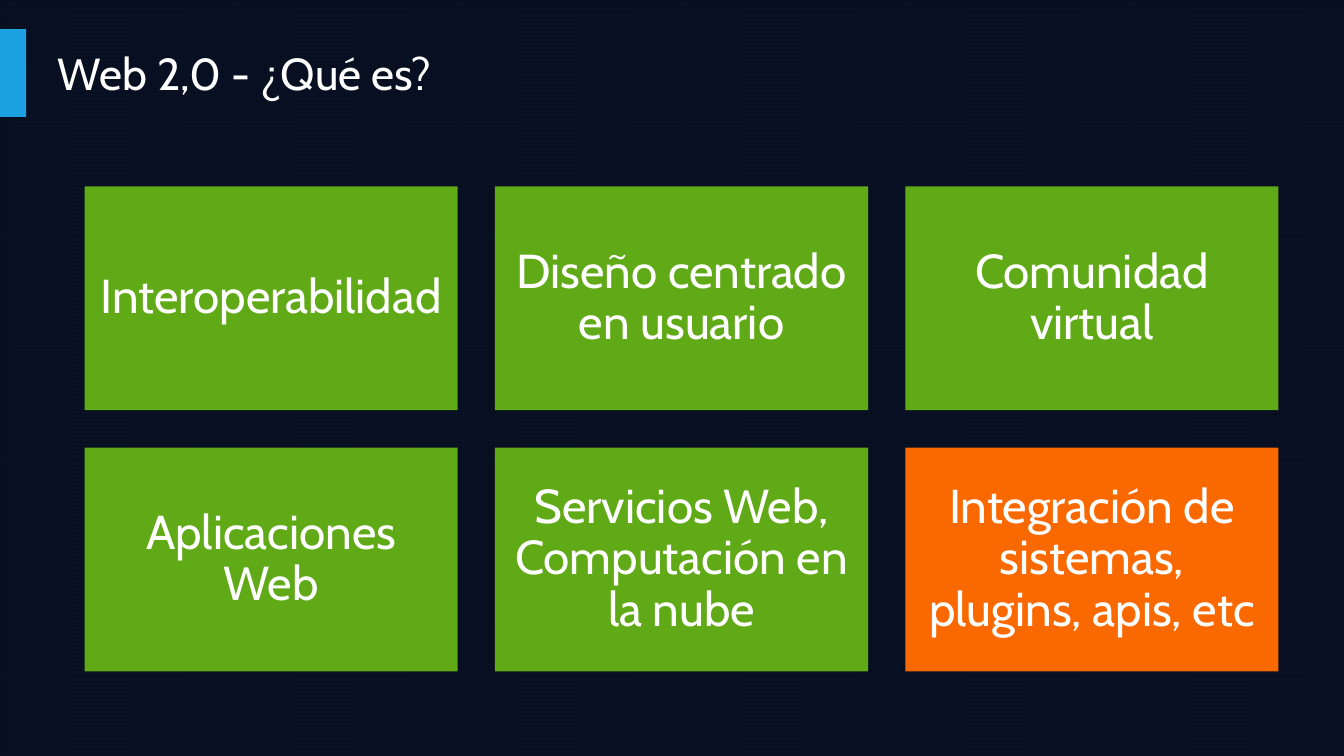
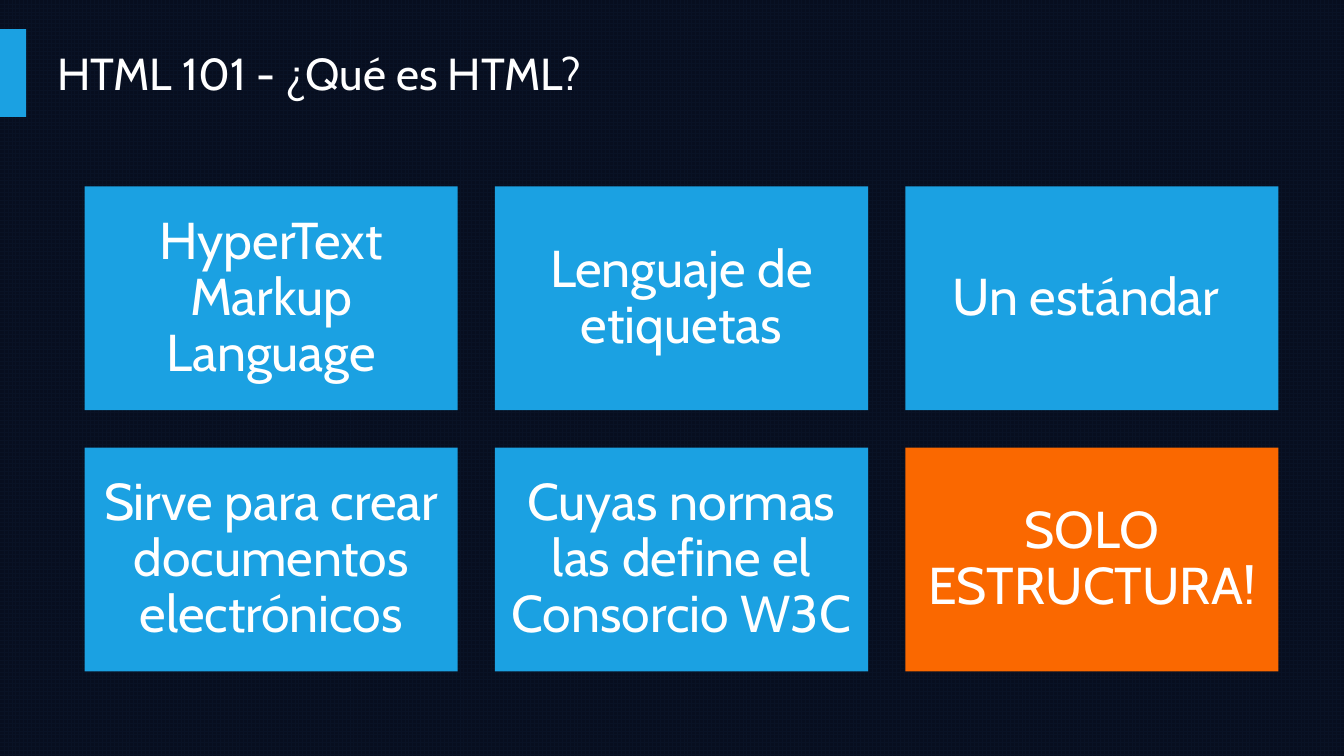
"""Build two tile-grid slides on the Web 2,0 and HTML."""
from dataclasses import dataclass

from pptx import Presentation
from pptx.dml.color import RGBColor
from pptx.enum import dml, shapes, text
from pptx.util import Inches, Pt


@dataclass(frozen=True)
class Theme:
    font: str = "Cabin"
    title_size: int = 32
    white: RGBColor = RGBColor(0xFF, 0xFF, 0xFF)
    blue: RGBColor = RGBColor(0x1B, 0xA1, 0xE2)
    green: RGBColor = RGBColor(0x60, 0xA9, 0x17)
    orange: RGBColor = RGBColor(0xFA, 0x68, 0x00)
    grid_line: RGBColor = RGBColor(0x09, 0x12, 0x25)
    backdrop: RGBColor = RGBColor(0x07, 0x0E, 0x1F)


@dataclass(frozen=True)
class Grid:
    left: float = 0.84
    top: float = 1.85
    width: float = 3.7
    height: float = 2.22
    gap: float = 0.37
    columns: int = 3


@dataclass(frozen=True)
class TileSlide:
    title: str
    color: RGBColor
    size: int
    inset: float
    tiles: tuple[str, ...]


THEME = Theme()
GRID = Grid()
SLIDES = (
    TileSlide("Web 2,0 - ¿Qué es?", THEME.green, 34, 0.14, (
        "Interoperabilidad",
        "Diseño centrado en usuario",
        "Comunidad virtual",
        "Aplicaciones Web",
        "Servicios Web, Computación en la nube",
        "Integración de sistemas, plugins, apis, etc",
    )),
    TileSlide("HTML 101 - ¿Qué es HTML?", THEME.blue, 37, 0.15, (
        "HyperText Markup Language",
        "Lenguaje de etiquetas",
        "Un estándar ",
        "Sirve para crear documentos electrónicos",
        "Cuyas normas las define el Consorcio W3C",
        "SOLO ESTRUCTURA!",
    )),
)


def set_text(sp, content: str, size: int, align: text.PP_ALIGN) -> None:
    tf = sp.text_frame
    tf.text = content
    tf.word_wrap = True
    tf.auto_size = text.MSO_AUTO_SIZE.NONE
    tf.vertical_anchor = text.MSO_ANCHOR.MIDDLE
    p = tf.paragraphs[0]
    p.alignment = align
    font = p.runs[0].font
    font.name, font.size = THEME.font, Pt(size)
    font.color.rgb = THEME.white


def add_rect(slide, left: float, top: float, width: float, height: float,
             color: RGBColor):
    sp = slide.shapes.add_shape(
        shapes.MSO_SHAPE.RECTANGLE,
        Inches(left), Inches(top), Inches(width), Inches(height))
    sp.shadow.inherit = False
    sp.fill.solid()
    sp.fill.fore_color.rgb = color
    sp.line.fill.background()
    return sp


def style_template(prs, layout) -> None:
    fill = prs.slide_master.background.fill
    fill.patterned()
    fill.pattern = dml.MSO_PATTERN.LARGE_GRID
    fill.fore_color.rgb = THEME.grid_line
    fill.back_color.rgb = THEME.backdrop
    title = layout.placeholders[0]
    title.left, title.top = Inches(0.47), Inches(0.29)
    title.width, title.height = Inches(9.45), Inches(0.85)


def move_to_layout(sp, layout) -> None:
    new_id = max(item.shape_id for item in layout.shapes) + 1
    sp.element.nvSpPr.cNvPr.set("id", str(new_id))
    layout.shapes[0].element.addprevious(sp.element)


def add_tile(slide, index: int, label: str, color: RGBColor,
             size: int, inset: float) -> None:
    row, column = divmod(index, GRID.columns)
    sp = add_rect(slide,
                  GRID.left + column * (GRID.width + GRID.gap),
                  GRID.top + row * (GRID.height + GRID.gap),
                  GRID.width, GRID.height, color)
    set_text(sp, label, size, text.PP_ALIGN.CENTER)
    tf = sp.text_frame
    tf.margin_left = tf.margin_right = Inches(inset)
    tf.margin_top = tf.margin_bottom = Inches(inset)
    tf.paragraphs[0].line_spacing = 0.9


def add_tile_slide(prs, layout, data: TileSlide):
    slide = prs.slides.add_slide(layout)
    set_text(slide.shapes.title, data.title, THEME.title_size,
             text.PP_ALIGN.LEFT)
    last = len(data.tiles) - 1
    for i, label in enumerate(data.tiles):
        color = THEME.orange if i == last else data.color
        add_tile(slide, i, label, color, data.size, data.inset)
    return slide


def main() -> None:
    prs = Presentation()
    prs.slide_width, prs.slide_height = Inches(13.33), Inches(7.5)
    layout = prs.slide_layouts.get_by_name("Title Only")
    style_template(prs, layout)
    slides = [add_tile_slide(prs, layout, data) for data in SLIDES]
    band = add_rect(slides[0], 0, 0.29, 0.26, 0.87, THEME.blue)
    move_to_layout(band, layout)
    prs.save("out.pptx")


if __name__ == "__main__":
    main()
